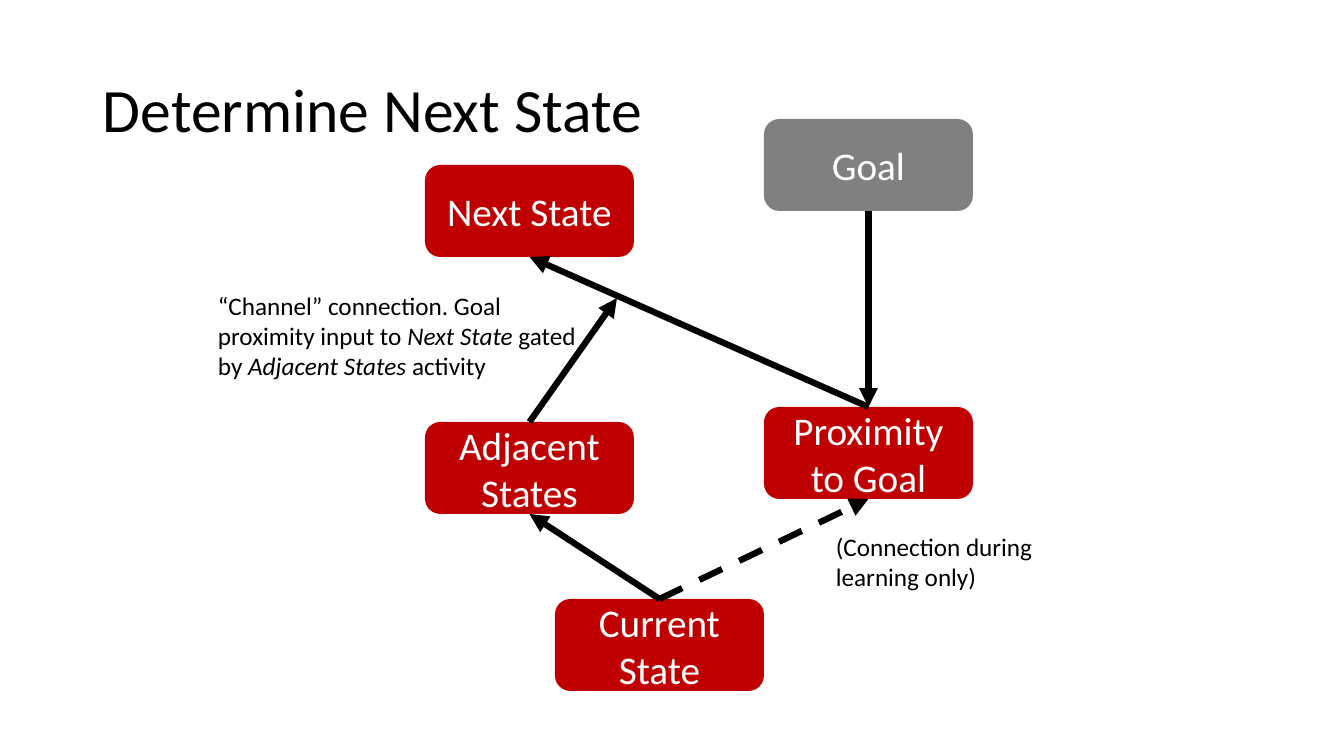
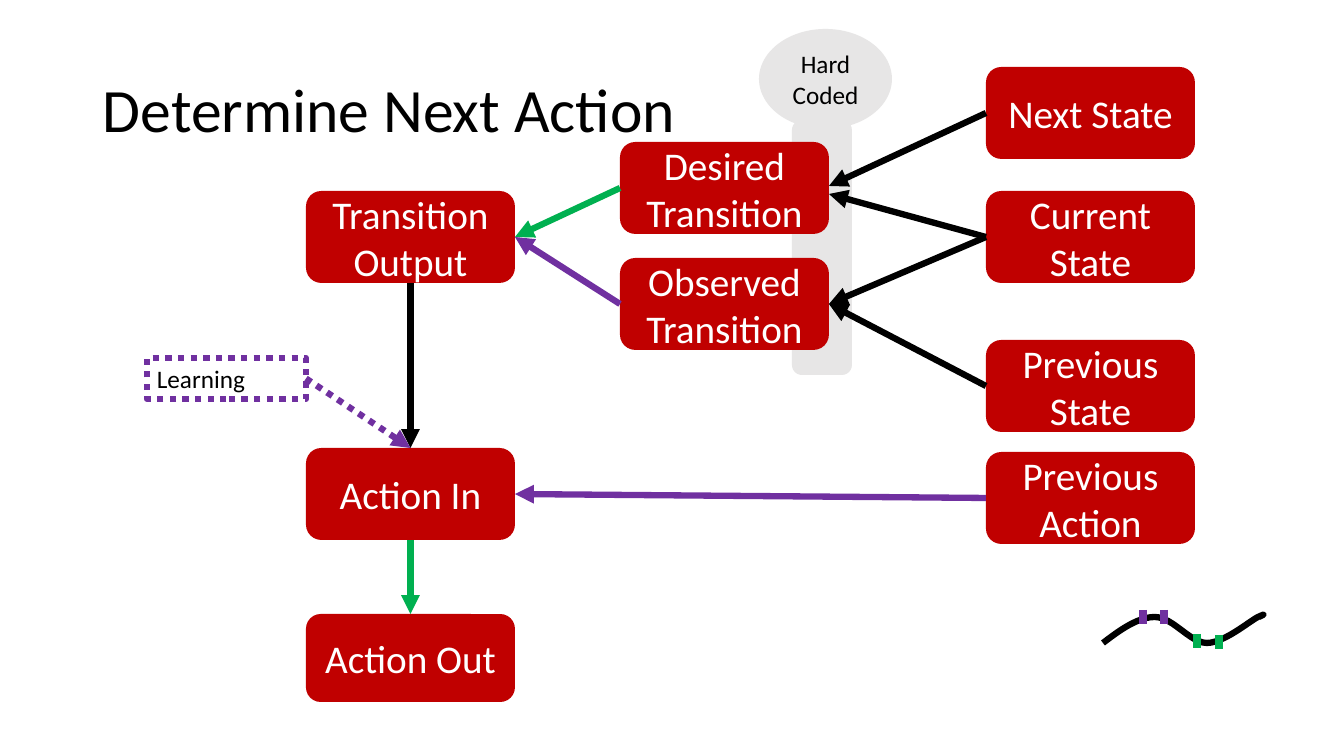
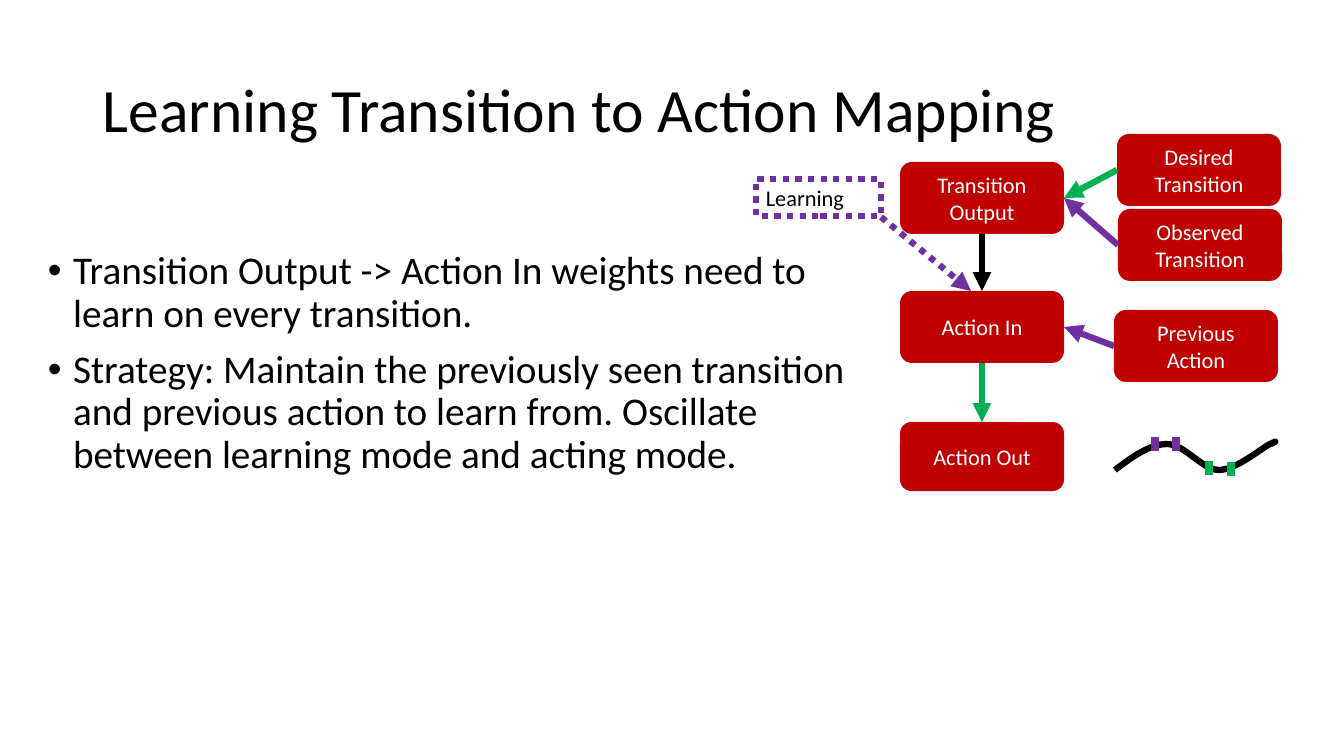
import pptx
import pptx.util
import pptx.dml.color
import pptx.enum.dml
import pptx.enum.shapes
import pptx.enum.text
import pptx.oxml
import pptx.oxml.ns
import lxml.etree

RGB = pptx.dml.color.RGBColor
SHAPE = pptx.enum.shapes.MSO_SHAPE
DASH = pptx.enum.dml.MSO_LINE
ANCHOR = pptx.enum.text.MSO_ANCHOR
ALIGN = pptx.enum.text.PP_ALIGN

BLACK = RGB(0x00, 0x00, 0x00)
WHITE = RGB(0xFF, 0xFF, 0xFF)
RED = RGB(0xC0, 0x00, 0x00)
GRAY = RGB(0x80, 0x80, 0x80)
PALE = RGB(0xE7, 0xE6, 0xE6)
GREEN = RGB(0x00, 0xB0, 0x50)
PURPLE = RGB(0x70, 0x30, 0xA0)

FONT = "Calibri"
SCALE = 914400 / 100.8
TITLE_AREA = (93, 40, 1159, 146)
SITES = {"top": 0, "left": 1, "bottom": 2, "right": 3}
LINE_WIDTH = 4.5
TICK_WIDTH = 6
CURVE_STEPS = 12

WAVE_START = (0, 29)
WAVE_CURVES = [
    ((17, 16), (35, 3), (52, 3)),
    ((70, 3), (87, 29), (104, 29)),
    ((121, 29), (147, 7), (155, 3)),
    ((164, -1), (160, 1), (156, 3)),
]
TICK_HEIGHT = 14
WAVE_TICKS = [(94, 20, GREEN), (40, -4, PURPLE), (61, -4, PURPLE), (116, 21, GREEN)]

SLIDES = [
    {
        "title": "Determine Next State",
        "box_size": (209, 92),
        "box_font": 28,
        "boxes": {
            "Current State": {"at": (555, 599)},
            "Adjacent States": {"at": (425, 422)},
            "Proximity to Goal": {"at": (764, 407)},
            "Goal": {"at": (764, 119), "fill": GRAY},
            "Next State": {"at": (425, 165)},
        },
        "arrows": [
            (("Current State", "top"), ("Adjacent States", "bottom"), BLACK, None),
            (("Current State", "top"), ("Proximity to Goal", "bottom"), BLACK, DASH.DASH),
            (("Adjacent States", "top"), (617, 298), BLACK, None),
            (("Goal", "bottom"), ("Proximity to Goal", "top"), BLACK, None),
            (("Proximity to Goal", "top"), ("Next State", "bottom"), BLACK, None),
        ],
        "notes": [
            ((826, 526, 295, 72), "(Connection during learning only)"),
            ((208, 285, 388, 102),
             "“Channel” connection. Goal proximity input to *Next State* gated by "
             "*Adjacent States* activity"),
        ],
    },
    {
        "title": "Determine Next Action",
        "bar": (792, 120, 60, 255),
        "callout": ((759, 29, 133, 100), "Hard Coded"),
        "box_size": (209, 92),
        "box_font": 28,
        "boxes": {
            "Desired Transition": {"at": (620, 142)},
            "Previous State": {"at": (986, 340)},
            "Previous Action": {"at": (986, 452)},
            "Next State": {"at": (986, 67)},
            "Observed Transition": {"at": (620, 258)},
            "Current State": {"at": (986, 191)},
            "Transition Output": {"at": (306, 191)},
            "Action In": {"at": (306, 448)},
            "Action Out": {"at": (306, 614), "height": 88},
        },
        "learning": ((147, 358, 159, 41), 18),
        "arrows": [
            (("Next State", "left"), (829, 186), BLACK, None),
            (("Current State", "left"), (829, 194), BLACK, None),
            (("Current State", "left"), ("Observed Transition", "right"), BLACK, None),
            (("Previous State", "left"), ("Observed Transition", "right"), BLACK, None),
            (("Desired Transition", "left"), ("Transition Output", "right"), GREEN, None),
            (("Observed Transition", "left"), ("Transition Output", "right"), PURPLE, None),
            (("Previous Action", "left"), ("Action In", "right"), PURPLE, None),
            (("Transition Output", "bottom"), ("Action In", "top"), BLACK, None),
            (("Action In", "bottom"), ("Action Out", "top"), GREEN, None),
            (("Learning", "right"), ("Action In", "top"), PURPLE, DASH.ROUND_DOT),
        ],
        "wave": (1103, 614),
    },
    {
        "title": "Learning Transition to Action Mapping",
        "box_size": (164, 72),
        "box_font": 16,
        "boxes": {
            "Desired Transition": {"at": (1117, 134)},
            "Previous Action": {"at": (1114, 310)},
            "Observed Transition": {"at": (1118, 209)},
            "Transition Output": {"at": (900, 162)},
            "Action In": {"at": (900, 291)},
            "Action Out": {"at": (900, 422), "height": 69},
        },
        "learning": ((756, 179, 125, 37), 16),
        "arrows": [
            (("Desired Transition", "left"), ("Transition Output", "right"), GREEN, None),
            (("Observed Transition", "left"), ("Transition Output", "right"), PURPLE, None),
            (("Transition Output", "bottom"), ("Action In", "top"), BLACK, None),
            (("Action In", "bottom"), ("Action Out", "top"), GREEN, None),
            (("Previous Action", "left"), ("Action In", "right"), PURPLE, None),
            ((881, 217), (971, 291), PURPLE, DASH.ROUND_DOT),
        ],
        "wave": (1115, 441),
        "bullets": ((38, 246, 836, 448), [
            "Transition Output -> Action In weights need to learn on every transition.",
            "Strategy: Maintain the previously seen transition and previous action to learn from. "
            "Oscillate between learning mode and acting mode.",
        ]),
    },
]


def emu(*pixels):
    return [round(value * SCALE) for value in pixels]


def add_bullet(paragraph):
    properties = paragraph._p.get_or_add_pPr()
    properties.set("marL", "228600")
    properties.set("indent", "-228600")
    font = lxml.etree.SubElement(properties, pptx.oxml.ns.qn("a:buFont"))
    font.set("typeface", "Arial")
    bullet = lxml.etree.SubElement(properties, pptx.oxml.ns.qn("a:buChar"))
    bullet.set("char", "•")


def write_text(shape, paragraphs, size=18, color=BLACK, align=ALIGN.LEFT,
               anchor=ANCHOR.TOP, spacing=None, before=None, bulleted=False):
    frame = shape.text_frame
    frame.word_wrap = True
    frame.vertical_anchor = anchor
    for index, text in enumerate(paragraphs):
        paragraph = frame.add_paragraph() if index else frame.paragraphs[0]
        paragraph.alignment = align
        if spacing:
            paragraph.line_spacing = spacing
        if before:
            paragraph.space_before = pptx.util.Pt(before)
        if bulleted:
            add_bullet(paragraph)
        for position, part in enumerate(text.split("*")):
            run = paragraph.add_run()
            run.text = part
            run.font.name = FONT
            run.font.size = pptx.util.Pt(size)
            run.font.color.rgb = color
            run.font.italic = position % 2 == 1


def add_text(slide, area, paragraphs, **text_format):
    write_text(slide.shapes.add_textbox(*emu(*area)), paragraphs, **text_format)


def add_block(slide, kind, area, fill=None):
    shape = slide.shapes.add_shape(kind, *emu(*area))
    shape.shadow.inherit = False
    shape.line.fill.background()
    if fill is None:
        shape.fill.background()
    else:
        shape.fill.solid()
        shape.fill.fore_color.rgb = fill
    return shape


def style_line(line, color, width=LINE_WIDTH, dash=None):
    line.color.rgb = color
    line.width = pptx.util.Pt(width)
    if dash:
        line.dash_style = dash


def add_line(shapes, start, end, color, width=LINE_WIDTH, dash=None):
    connector = shapes.add_connector(
        pptx.enum.shapes.MSO_CONNECTOR.STRAIGHT, *emu(*start, *end))
    style_line(connector.line, color, width, dash)
    lxml.etree.SubElement(connector._element.spPr, pptx.oxml.ns.qn("a:effectLst"))
    return connector


def add_arrow(slide, boxes, start, end, color, dash):
    glued_start, glued_end = start[0] in boxes, end[0] in boxes
    connector = add_line(slide.shapes, (0, 0) if glued_start else start,
                         (0, 0) if glued_end else end, color, dash=dash)
    if glued_start:
        connector.begin_connect(boxes[start[0]], SITES[start[1]])
    if glued_end:
        connector.end_connect(boxes[end[0]], SITES[end[1]])
    head = lxml.etree.SubElement(connector.line._get_or_add_ln(), pptx.oxml.ns.qn("a:tailEnd"))
    head.set("type", "triangle")


def curve_points(start, curves):
    points = []
    for first, second, end in curves:
        for step in range(1, CURVE_STEPS + 1):
            t = step / CURVE_STEPS
            u = 1 - t
            points.append(tuple(
                u ** 3 * a + 3 * u * u * t * b + 3 * u * t * t * c + t ** 3 * d
                for a, b, c, d in zip(start, first, second, end)))
        start = end
    return points


def add_wave(slide, origin):
    left, top = origin
    shapes = slide.shapes.add_group_shape().shapes
    points = [emu(left + x, top + y)
              for x, y in [WAVE_START] + curve_points(WAVE_START, WAVE_CURVES)]
    builder = shapes.build_freeform(*points[0])
    builder.add_line_segments(points[1:], close=False)
    wave = builder.convert_to_shape()
    wave.shadow.inherit = False
    wave.fill.background()
    style_line(wave.line, BLACK)
    for x, y, color in WAVE_TICKS:
        add_line(shapes, (left + x, top + y), (left + x, top + y + TICK_HEIGHT),
                 color, TICK_WIDTH)


def build_slide(presentation, content):
    slide = presentation.slides.add_slide(presentation.slide_layouts[6])
    if "bar" in content:
        add_block(slide, SHAPE.ROUNDED_RECTANGLE, content["bar"], PALE)
    add_text(slide, TITLE_AREA, [content["title"]], size=44, anchor=ANCHOR.MIDDLE, spacing=0.9)

    boxes = {}
    width, height = content["box_size"]
    for label, box in content["boxes"].items():
        area = (*box["at"], width, box.get("height", height))
        boxes[label] = add_block(slide, SHAPE.ROUNDED_RECTANGLE, area, box.get("fill", RED))
        write_text(boxes[label], [label], size=content["box_font"], color=WHITE,
                   align=ALIGN.CENTER, anchor=ANCHOR.MIDDLE)
    if "learning" in content:
        area, size = content["learning"]
        boxes["Learning"] = add_block(slide, SHAPE.RECTANGLE, area)
        style_line(boxes["Learning"].line, PURPLE, dash=DASH.ROUND_DOT)
        write_text(boxes["Learning"], ["Learning"], size=size)

    for arrow in content["arrows"]:
        add_arrow(slide, boxes, *arrow)
    if "callout" in content:
        area, text = content["callout"]
        callout = add_block(slide, SHAPE.OVAL_CALLOUT, area, PALE)
        callout.adjustments[0] = 0
        callout.adjustments[1] = 0.6
        write_text(callout, [text], align=ALIGN.CENTER, anchor=ANCHOR.MIDDLE)
    if "wave" in content:
        add_wave(slide, content["wave"])
    for area, text in content.get("notes", []):
        add_text(slide, area, [text])
    if "bullets" in content:
        area, paragraphs = content["bullets"]
        add_text(slide, area, paragraphs, size=28, spacing=0.9, before=10, bulleted=True)


presentation = pptx.Presentation()
presentation.slide_width, presentation.slide_height = emu(1344, 756)
for content in SLIDES:
    build_slide(presentation, content)
presentation.save("out.pptx")
